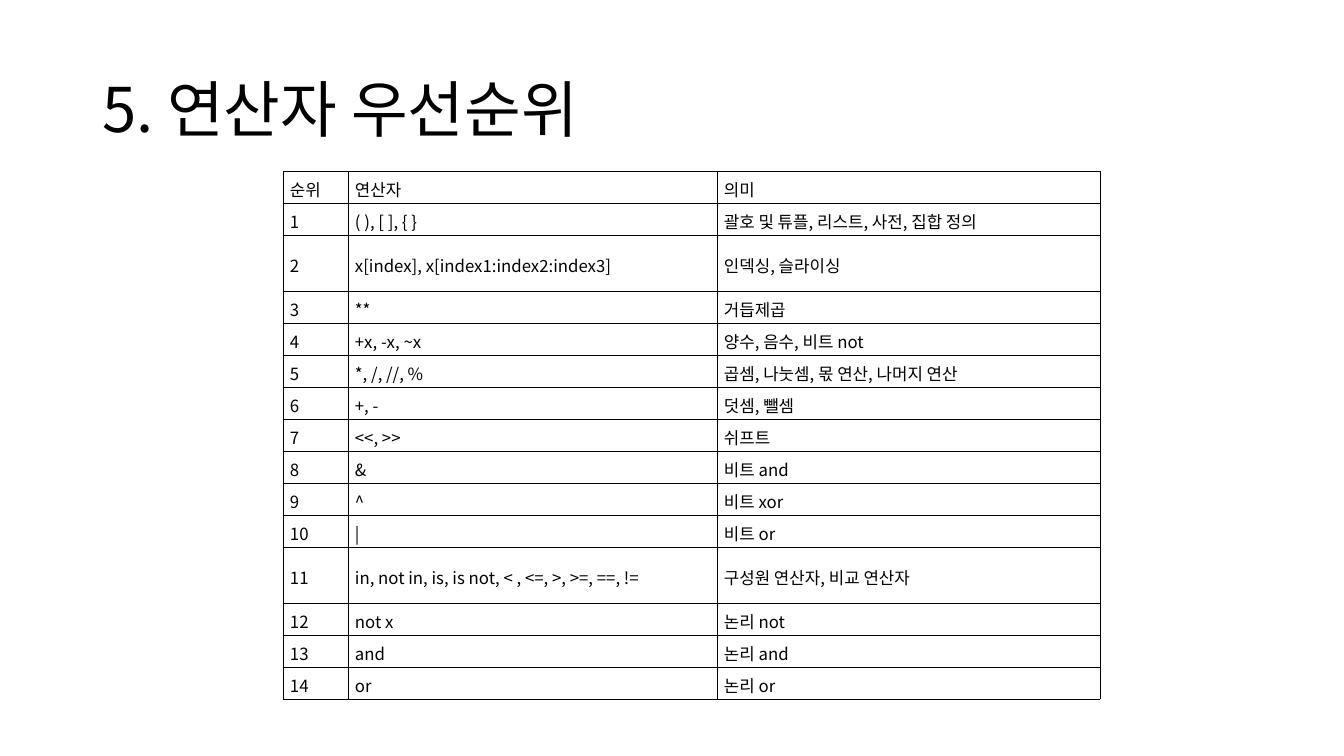
from lxml.etree import SubElement
from pptx import Presentation
from pptx.dml.color import RGBColor
from pptx.enum.text import MSO_ANCHOR as Anchor, MSO_AUTO_SIZE as AutoSize, PP_ALIGN as Align
from pptx.oxml.ns import qn
from pptx.util import Pt

SCALE = 914400 / 100.8
FONT = "Noto Sans CJK KR"
COLORS = {"text": "000000", "border": "000000", "background": "FFFFFF"}
COLUMN_WIDTHS = [65, 369, 383]
ROW_HEIGHT, TALL_ROW_HEIGHT = 30, 56
TALL_RANKS = {2, 11}
HEADER = ("순위", "연산자", "의미")
OPERATORS = [
    ("( ), [ ], { }", "괄호 및 튜플, 리스트, 사전, 집합 정의"),
    ("x[index], x[index1:index2:index3]", "인덱싱, 슬라이싱"),
    ("**", "거듭제곱"),
    ("+x, -x, ~x", "양수, 음수, 비트 not"),
    ("*, /, //, %", "곱셈, 나눗셈, 몫 연산, 나머지 연산"),
    ("+, -", "덧셈, 뺄셈"),
    ("<<, >>", "쉬프트"),
    ("&", "비트 and"),
    ("^", "비트 xor"),
    ("|", "비트 or"),
    ("in, not in, is, is not, < , <=, >, >=, ==, !=", "구성원 연산자, 비교 연산자"),
    ("not x", "논리 not"),
    ("and", "논리 and"),
    ("or", "논리 or"),
]


def px(pixels):
    return round(pixels * SCALE)


def color(name):
    return RGBColor.from_string(COLORS[name])


def format_paragraph(paragraph, size, align, line_spacing, space_after=0):
    paragraph.alignment = align
    paragraph.line_spacing = line_spacing
    paragraph.space_after = Pt(space_after)
    font = paragraph.font
    font.size = Pt(size)
    font.name = FONT
    font.color.rgb = color("text")
    properties = paragraph._p.pPr.find(qn("a:defRPr"))
    SubElement(properties, qn("a:ea"), typeface=FONT)


def set_title(page, text, left, top, width, height):
    title = page.shapes.title
    title.left, title.top = px(left), px(top)
    title.width, title.height = px(width), px(height)
    frame = title.text_frame
    frame.text = text
    frame.word_wrap = True
    frame.auto_size = AutoSize.NONE
    frame.vertical_anchor = Anchor.MIDDLE
    format_paragraph(frame.paragraphs[0], 44, Align.LEFT, 0.9)


def add_borders(cell):
    properties = cell._tc.get_or_add_tcPr()
    for position, side in enumerate("LRTB"):
        line = SubElement(properties, qn(f"a:ln{side}"), w=str(Pt(0.28)))
        fill = SubElement(line, qn("a:solidFill"))
        SubElement(fill, qn("a:srgbClr"), val=COLORS["border"])
        properties.insert(position, line)


def fill_cell(cell, text):
    cell.text = text
    cell.vertical_anchor = Anchor.MIDDLE
    cell.margin_left = cell.margin_right = px(7)
    cell.margin_top = cell.margin_bottom = px(2)
    cell.fill.background()
    add_borders(cell)
    format_paragraph(cell.text_frame.paragraphs[0], 12, Align.JUSTIFY, 1.15, 10)


def add_operator_table(page, left, top):
    rows = [HEADER] + [(str(rank), *row) for rank, row in enumerate(OPERATORS, 1)]
    heights = [TALL_ROW_HEIGHT if rank in TALL_RANKS else ROW_HEIGHT
               for rank in range(len(rows))]
    table = page.shapes.add_table(
        len(rows), len(HEADER), px(left), px(top),
        px(sum(COLUMN_WIDTHS)), px(sum(heights))).table
    table.first_row = table.horz_banding = False
    for column, width in zip(table.columns, COLUMN_WIDTHS):
        column.width = px(width)
    for table_row, height, texts in zip(table.rows, heights, rows):
        table_row.height = px(height)
        for cell, text in zip(table_row.cells, texts):
            fill_cell(cell, text)


def main():
    deck = Presentation()
    deck.slide_width, deck.slide_height = px(1344), px(756)
    page = deck.slides.add_slide(deck.slide_layouts[5])
    page.background.fill.solid()
    page.background.fill.fore_color.rgb = color("background")
    set_title(page, "5. 연산자 우선순위", 92, 40, 1160, 146)
    add_operator_table(page, 283, 171)
    deck.save("out.pptx")


main()
